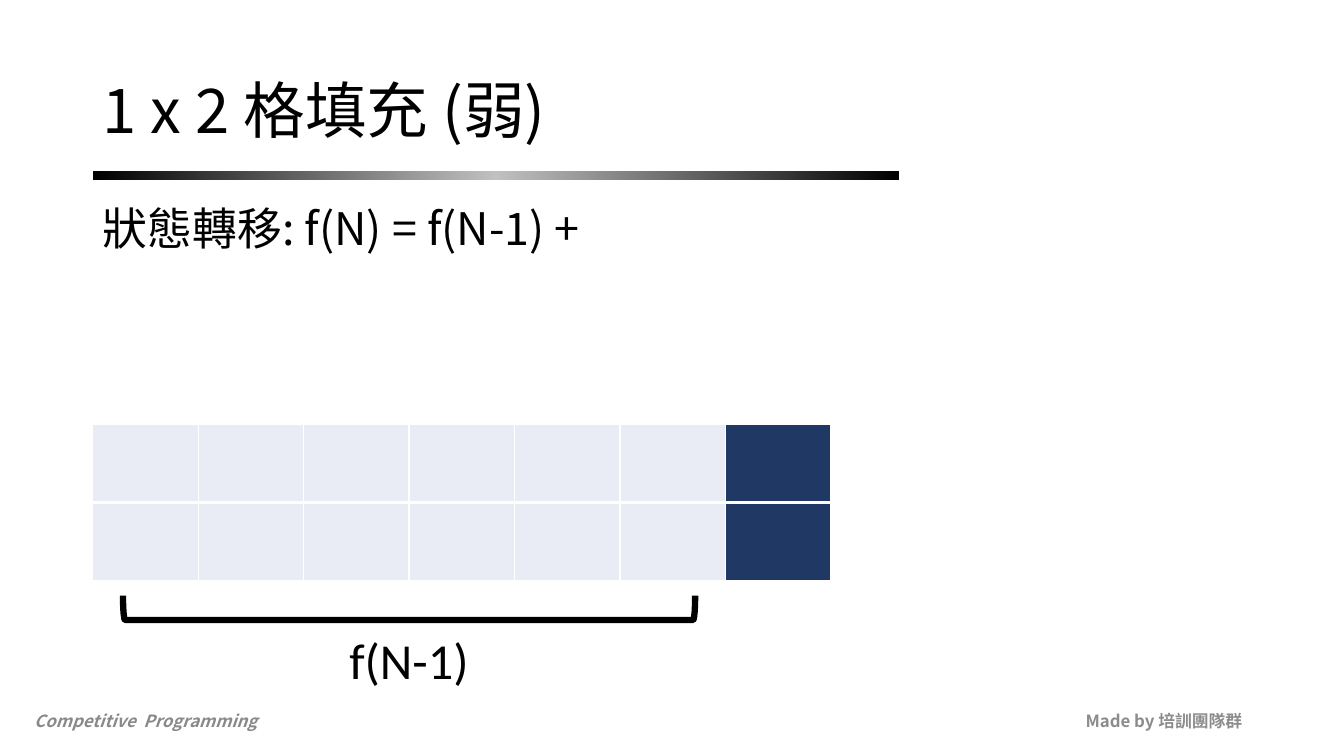
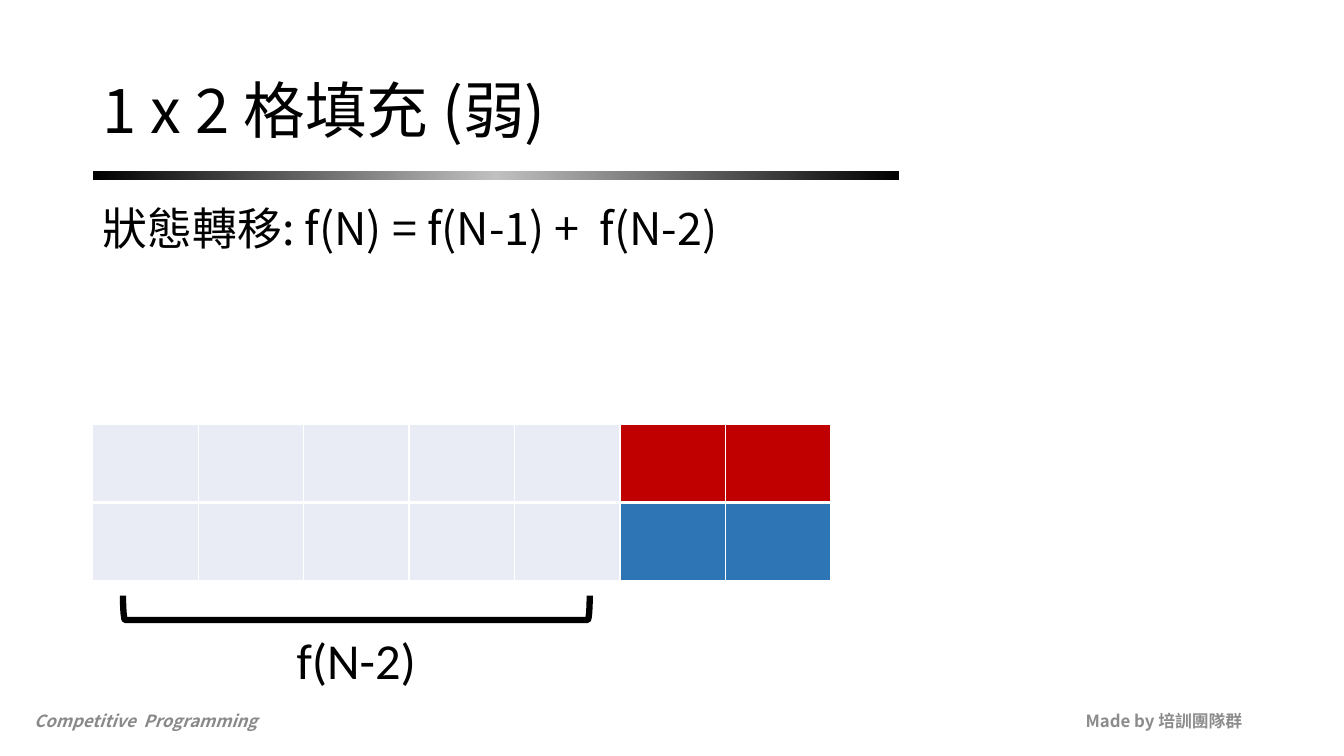
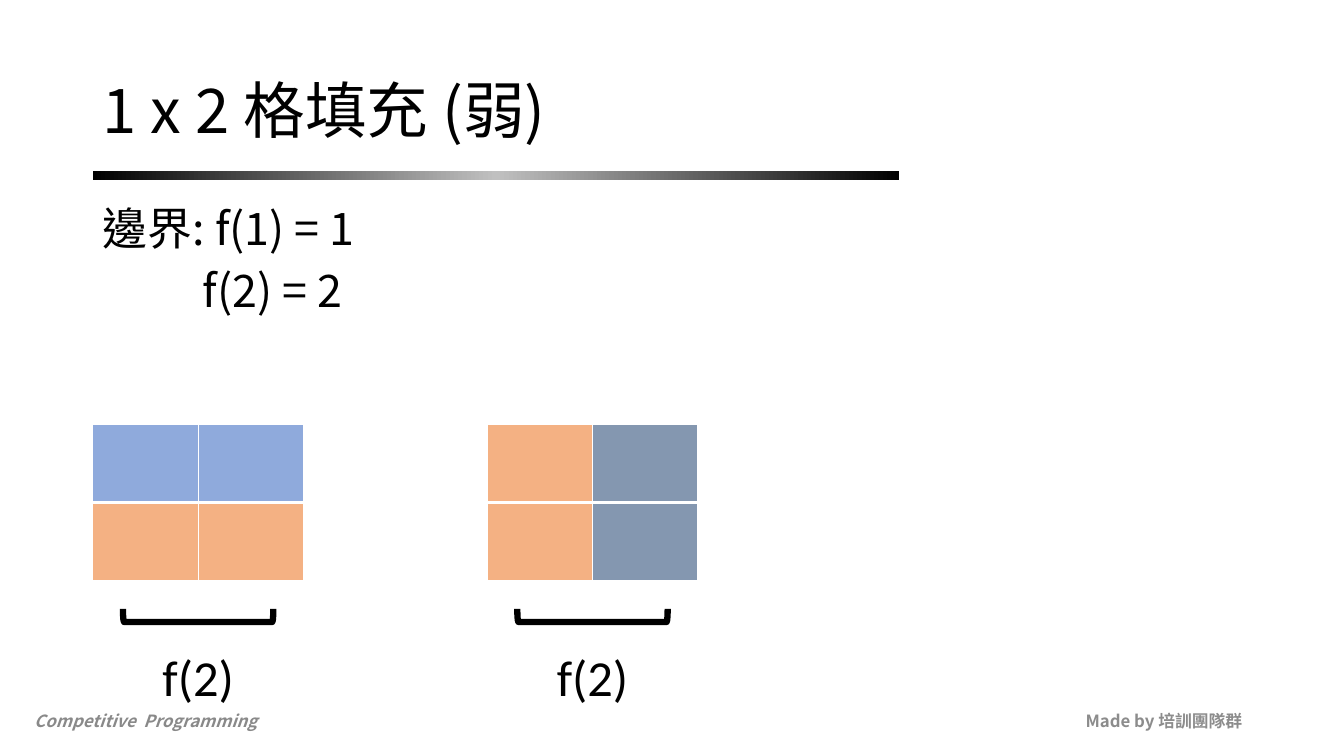
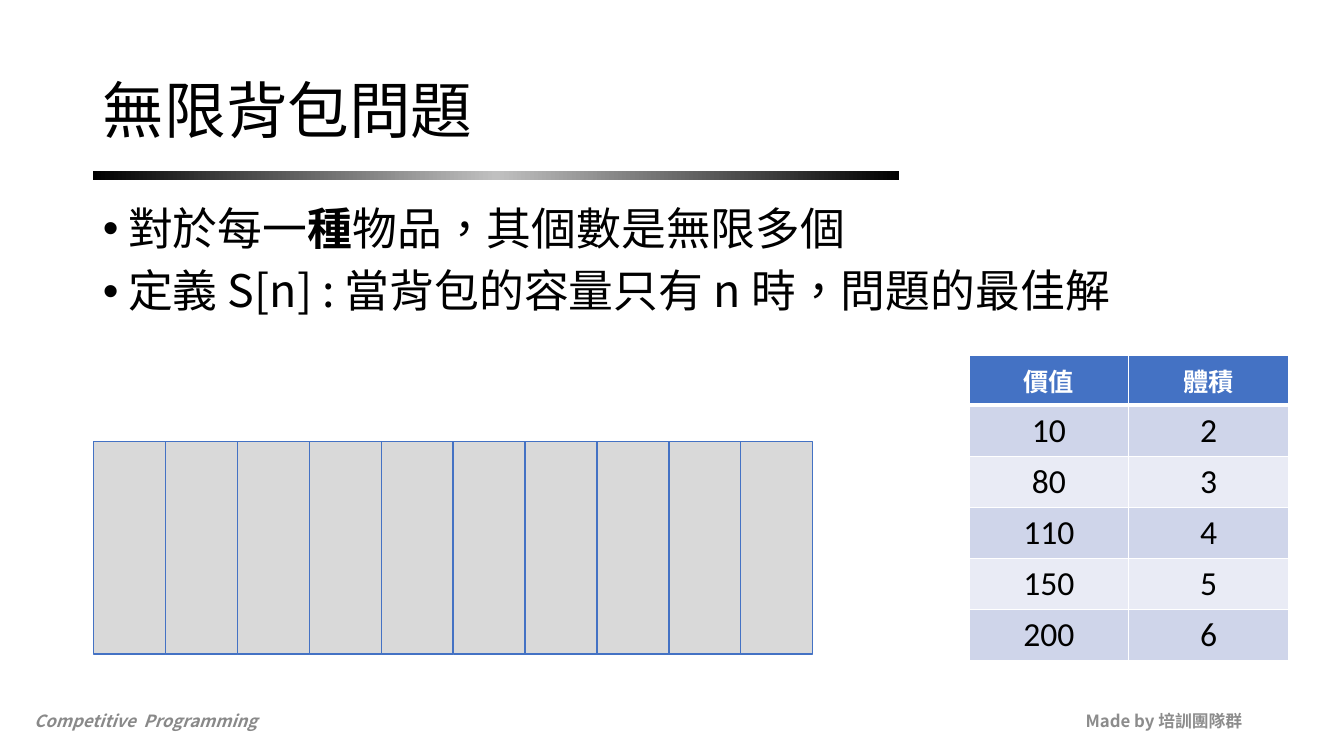
from copy import deepcopy
from dataclasses import dataclass
from typing import NamedTuple, Sequence

from lxml import etree
from pptx import Presentation
from pptx import util as u
from pptx.dml.color import RGBColor
from pptx.enum import shapes, text
from pptx.oxml.ns import qn

BLACK = RGBColor(0x00, 0x00, 0x00)
WHITE = RGBColor(0xFF, 0xFF, 0xFF)
SILVER = RGBColor(0xC0, 0xC0, 0xC0)
CREDIT_GREY = RGBColor(0x8C, 0x8C, 0x8C)
COURSE_GREY = RGBColor(0x89, 0x89, 0x89)
SLOT_GREY = RGBColor(0xD9, 0xD9, 0xD9)
BLUE = RGBColor(0x44, 0x72, 0xC4)
PALE = RGBColor(0xE9, 0xEB, 0xF5)
BAND = RGBColor(0xCF, 0xD5, 0xEA)
NAVY = RGBColor(0x20, 0x38, 0x64)
RED = RGBColor(0xC0, 0x00, 0x00)
STRONG_BLUE = RGBColor(0x2E, 0x75, 0xB6)
SKY = RGBColor(0x8F, 0xAA, 0xDC)
ORANGE = RGBColor(0xF4, 0xB1, 0x83)
SLATE = RGBColor(0x84, 0x97, 0xB0)

NOTO = "Noto Sans CJK SC"
CALIBRI = "Calibri"

# Grid, in inches
MARGIN = 0.92
TILE_WIDTH = 7.32 / 7
TILE_HEIGHT = 1.55 / 2
BOARD_TOP = 4.21
BRACKET_INSET = 0.3
LABEL_WIDTH = 1.4
SLOT_COUNT = 10
SLOT_WIDTH = 7.13 / SLOT_COUNT


class Box(NamedTuple):
    left: float
    top: float
    width: float
    height: float

    def emu(self) -> list[int]:
        return [u.Inches(length) for length in self]


TITLE_BOX = Box(MARGIN, 0.4, 11.5, 1.45)
BODY_BOX = Box(MARGIN, 2, 11.5, 4.76)
RULE_BOX = Box(MARGIN, 1.7, 8, 0.09)
CREDIT_BOX = Box(9.42, 6.95, 3, 0.4)
COURSE_BOX = Box(0.24, 6.95, 3, 0.4)
PRICE_BOX = Box(9.61, 3.53, 3.17, 2.94)


@dataclass(frozen=True)
class FontStyle:
    size: float
    color: RGBColor = BLACK
    name: str = NOTO
    bold: bool = False
    italic: bool = False


TITLE_FONT = FontStyle(44)
BODY_FONT = FontStyle(32)
LABEL_FONT = FontStyle(36, name=CALIBRI)
HEADER_FONT = FontStyle(18, WHITE, CALIBRI, bold=True)
VALUE_FONT = FontStyle(24, name=CALIBRI)


class Piece(NamedTuple):
    text: str
    bold: bool = False


@dataclass(frozen=True)
class Line:
    pieces: tuple[Piece, ...]
    bullet: bool = False
    indent: float = 0


@dataclass(frozen=True)
class Board:
    """Two rows of tiles; the bracket spans the first `bracketed` columns."""
    rows: tuple[tuple[RGBColor, ...], tuple[RGBColor, ...]]
    bracketed: int
    label: str
    column: float = 0
    bracket_top: float = 5.91
    bracket_depth: float = 0.24
    label_top: float = 6.19


def small_board(rows, column: float = 0) -> Board:
    return Board(rows, 2, "f(2)", column, 6.04, 0.13, 6.36)


def style_font(paragraph, style: FontStyle) -> None:
    font = paragraph.font
    font.size = u.Pt(style.size)
    font.name = style.name
    font.bold = style.bold
    font.italic = style.italic
    font.color.rgb = style.color
    properties = paragraph._p.pPr.find(qn("a:defRPr"))
    properties.set("lang", "zh-TW")
    etree.SubElement(properties, qn("a:ea")).set("typeface", NOTO)


def add_text(slide, box: Box, content: str, style: FontStyle, align,
             wrap: bool = True, anchor=text.MSO_ANCHOR.TOP):
    shape = slide.shapes.add_textbox(*box.emu())
    frame = shape.text_frame
    frame.word_wrap = wrap
    frame.vertical_anchor = anchor
    paragraph = frame.paragraphs[0]
    paragraph.text = content
    paragraph.alignment = align
    style_font(paragraph, style)
    return shape


def add_plain_shape(slide, kind, box: Box):
    shape = slide.shapes.add_shape(kind, *box.emu())
    shape.shadow.inherit = False
    return shape


def add_rule(slide):
    rule = add_plain_shape(slide, shapes.MSO_SHAPE.RECTANGLE, RULE_BOX)
    rule.line.fill.background()
    rule.fill.gradient()
    rule.fill.gradient_angle = 0
    stop_list = next(rule._element.spPr.iter(qn("a:gsLst")))
    stop_list.insert(1, deepcopy(stop_list[0]))
    colors = (BLACK, SILVER, BLACK)
    for index, (stop, color) in enumerate(zip(rule.fill.gradient_stops, colors)):
        stop.position = index / 2
        stop.color.rgb = color
    return rule


def prepare_layout(layout, slide) -> None:
    """Place the layout's placeholders and move the shared parts into it."""
    for placeholder, box in zip(layout.placeholders, (TITLE_BOX, BODY_BOX)):
        placeholder.left, placeholder.top, placeholder.width, placeholder.height = box.emu()
    middle = text.MSO_ANCHOR.MIDDLE
    shared = (
        add_text(slide, CREDIT_BOX, "Made by 培訓團隊群",
                 FontStyle(12, CREDIT_GREY, bold=True),
                 text.PP_ALIGN.RIGHT, anchor=middle),
        add_text(slide, COURSE_BOX, "Competitive  Programming",
                 FontStyle(12, COURSE_GREY, bold=True, italic=True),
                 text.PP_ALIGN.LEFT, anchor=middle),
        add_rule(slide),
    )
    for shape in shared:
        layout.shapes._spTree.append(shape._element)


def write_title(slide, title: str) -> None:
    frame = slide.shapes.title.text_frame
    frame.auto_size = text.MSO_AUTO_SIZE.NONE
    frame.vertical_anchor = text.MSO_ANCHOR.MIDDLE
    paragraph = frame.paragraphs[0]
    paragraph.text = title
    paragraph.alignment = text.PP_ALIGN.LEFT
    paragraph.line_spacing = 0.9
    style_font(paragraph, TITLE_FONT)


def write_body(slide, lines: Sequence[Line]) -> None:
    frame = slide.placeholders[1].text_frame
    frame.auto_size = text.MSO_AUTO_SIZE.NONE
    for index, line in enumerate(lines):
        paragraph = frame.add_paragraph() if index else frame.paragraphs[0]
        paragraph.line_spacing = 0.9
        paragraph.space_before = u.Pt(10)
        hanging = 0.25 if line.bullet else 0
        properties = paragraph._p.get_or_add_pPr()
        properties.set("marL", str(u.Inches(line.indent + hanging)))
        properties.set("indent", str(u.Inches(-hanging)))
        if line.bullet:
            etree.SubElement(properties, qn("a:buFont")).set("typeface", "Arial")
            etree.SubElement(properties, qn("a:buChar")).set("char", "•")
        else:
            etree.SubElement(properties, qn("a:buNone"))
        style_font(paragraph, BODY_FONT)
        for piece in line.pieces:
            run = paragraph.add_run()
            run.text = piece.text
            if piece.bold:
                run.font.bold = True


def set_borders(cell, top: float, bottom: float) -> None:
    """Give the cell white borders; widths are in points."""
    widths = {"a:lnL": 1, "a:lnR": 1, "a:lnT": top, "a:lnB": bottom}
    properties = cell._tc.get_or_add_tcPr()
    for index, (tag, width) in enumerate(widths.items()):
        border = etree.Element(qn(tag), w=str(u.Pt(width)))
        fill = etree.SubElement(border, qn("a:solidFill"))
        etree.SubElement(fill, qn("a:srgbClr")).set("val", str(WHITE))
        properties.insert(index, border)


def add_filled_table(slide, box: Box, fills: Sequence[Sequence[RGBColor]]):
    """Add a table with one fill per cell and a thick line under its first row."""
    table = slide.shapes.add_table(len(fills), len(fills[0]), *box.emu()).table
    table.first_row = table.horz_banding = False
    for row, colors in enumerate(fills):
        for column, color in enumerate(colors):
            cell = table.cell(row, column)
            cell.fill.solid()
            cell.fill.fore_color.rgb = color
            set_borders(cell, 3 if row == 1 else 1, 3 if row == 0 else 1)
    return table


def draw_board(slide, board: Board) -> None:
    left = MARGIN + board.column * TILE_WIDTH
    columns = len(board.rows[0])
    add_filled_table(
        slide, Box(left, BOARD_TOP, columns * TILE_WIDTH, 2 * TILE_HEIGHT), board.rows)

    span = board.bracketed * TILE_WIDTH
    center = left + span / 2
    length, depth = span - 2 * BRACKET_INSET, board.bracket_depth
    middle = board.bracket_top + depth / 2
    bracket = add_plain_shape(
        slide, shapes.MSO_SHAPE.LEFT_BRACKET,
        Box(center - depth / 2, middle - length / 2, depth, length))
    bracket.rotation = 270
    bracket.fill.background()
    bracket.line.color.rgb = BLACK
    bracket.line.width = u.Pt(4.5)

    label_box = Box(center - LABEL_WIDTH / 2, board.label_top, LABEL_WIDTH, 0.71)
    add_text(slide, label_box, board.label, LABEL_FONT, text.PP_ALIGN.CENTER, wrap=False)


def draw_knapsack(slide) -> None:
    for index in range(SLOT_COUNT):
        slot = add_plain_shape(
            slide, shapes.MSO_SHAPE.RECTANGLE,
            Box(0.93 + index * SLOT_WIDTH, 4.38, SLOT_WIDTH, 2.11))
        slot.fill.solid()
        slot.fill.fore_color.rgb = SLOT_GREY
        slot.line.color.rgb = BLUE
        slot.line.width = u.Pt(1)


def draw_price_table(slide, rows: Sequence[tuple[str, str]]) -> None:
    bands = [BLUE] + [BAND if row % 2 else PALE for row in range(1, len(rows))]
    table = add_filled_table(slide, PRICE_BOX, [(color, color) for color in bands])
    for row, values in enumerate(rows):
        for column, value in enumerate(values):
            cell = table.cell(row, column)
            cell.vertical_anchor = text.MSO_ANCHOR.MIDDLE
            paragraph = cell.text_frame.paragraphs[0]
            paragraph.text = value
            paragraph.alignment = text.PP_ALIGN.CENTER
            style_font(paragraph, VALUE_FONT if row else HEADER_FONT)


@dataclass(frozen=True)
class Page:
    title: str
    lines: tuple[Line, ...]
    boards: tuple[Board, ...] = ()
    prices: tuple[tuple[str, str], ...] = ()


TILING = "1 x 2 格填充 (弱)"
PAGES = (
    Page(TILING, (Line((Piece("狀態轉移: f(N) = f(N-1) +"),)),),
         (Board(((PALE,) * 6 + (NAVY,),) * 2, 6, "f(N-1)"),)),
    Page(TILING, (Line((Piece("狀態轉移: f(N) = f(N-1) +  f(N-2)"),)),),
         (Board(((PALE,) * 5 + (RED,) * 2, (PALE,) * 5 + (STRONG_BLUE,) * 2),
                5, "f(N-2)"),)),
    Page(TILING,
         (Line((Piece("邊界: f(1) = 1"),)),
          Line((Piece("f(2) = 2"),), indent=0.99)),
         (small_board(((SKY,) * 2, (ORANGE,) * 2)),
          small_board(((ORANGE, SLATE),) * 2, column=3.74))),
    Page("無限背包問題",
         (Line((Piece("對於每一"), Piece("種", bold=True),
                Piece("物品，其個數是無限多個")), bullet=True),
          Line((Piece("定義 S[n] : 當背包的容量只有 n 時，問題的最佳解"),), bullet=True)),
         prices=(("價值", "體積"), ("10", "2"), ("80", "3"),
                 ("110", "4"), ("150", "5"), ("200", "6"))),
)


def main() -> None:
    presentation = Presentation()
    presentation.slide_width = u.Inches(13.33)
    presentation.slide_height = u.Inches(7.5)
    layout = presentation.slide_layouts[1]
    for index, page in enumerate(PAGES):
        slide = presentation.slides.add_slide(layout)
        if index == 0:
            prepare_layout(layout, slide)
        write_title(slide, page.title)
        write_body(slide, page.lines)
        for board in page.boards:
            draw_board(slide, board)
        if page.prices:
            draw_price_table(slide, page.prices)
            draw_knapsack(slide)
    presentation.save("out.pptx")


if __name__ == "__main__":
    main()
